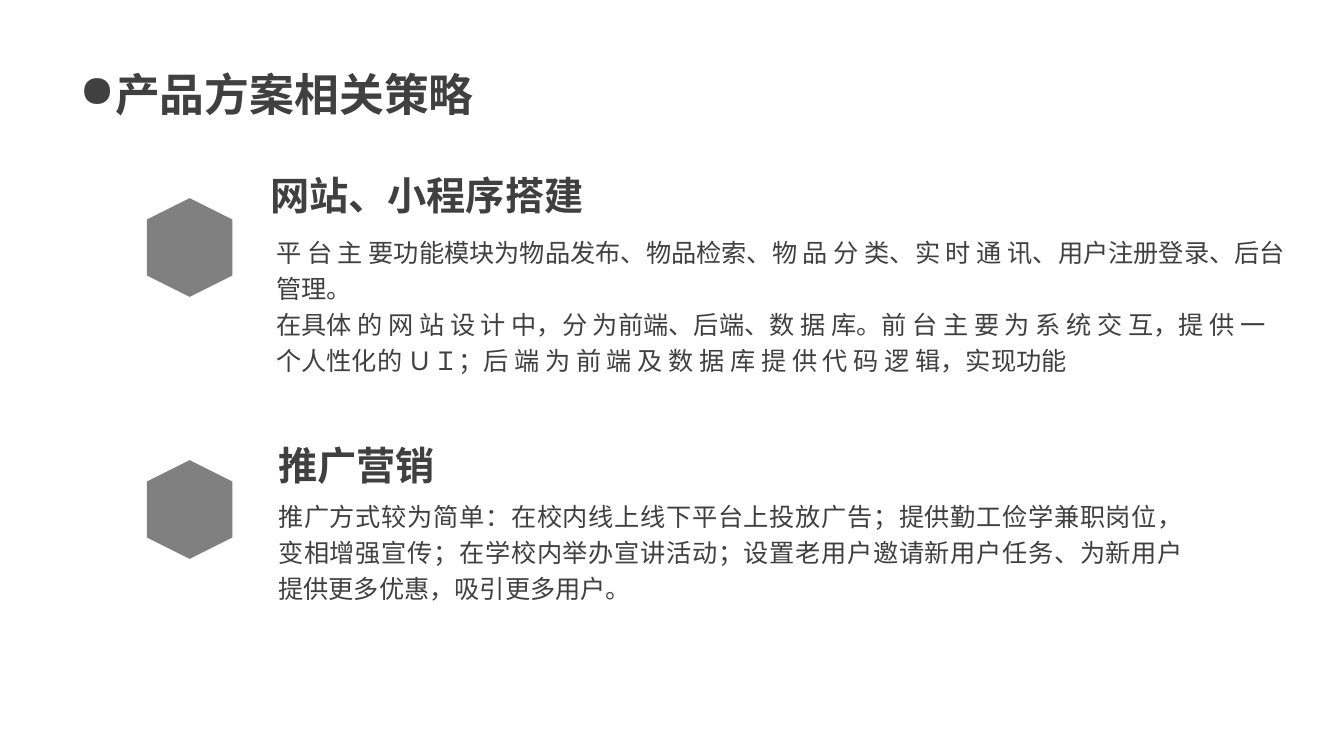
from dataclasses import dataclass
from typing import Optional

from lxml import etree
from pptx import Presentation
from pptx import util as u
from pptx.dml.color import RGBColor
from pptx.enum import shapes, text
from pptx.oxml import ns

SLIDE_W, SLIDE_H = u.Inches(13.33), u.Inches(7.5)
COMPARISON_LAYOUT = 4  # a title and two pairs of heading and body


@dataclass(frozen=True)
class Theme:
    font: str = "Noto Sans CJK SC"
    ink: RGBColor = RGBColor(0x40, 0x40, 0x40)
    marker: RGBColor = RGBColor(0x80, 0x80, 0x80)
    title_size: int = 32
    heading_size: int = 28
    body_size: int = 18
    body_spacing: float = 1.2
    bullet_indent: float = 0.31


@dataclass(frozen=True)
class Area:
    """Left, top, width and height in percent of the slide."""
    left: float
    top: float
    width: float
    height: float

    def box(self) -> tuple[int, int, int, int]:
        return (int(SLIDE_W * self.left / 100), int(SLIDE_H * self.top / 100),
                int(SLIDE_W * self.width / 100), int(SLIDE_H * self.height / 100))


@dataclass(frozen=True)
class TextStyle:
    size: int
    bold: bool = False
    spacing: float = 1.0
    align: text.PP_ALIGN = text.PP_ALIGN.LEFT
    bullet: Optional[str] = None


@dataclass(frozen=True)
class Strategy:
    heading: str
    heading_area: Area
    body: tuple[str, ...]
    body_area: Area
    body_align: text.PP_ALIGN
    marker_top: float


THEME = Theme()
TITLE = TextStyle(THEME.title_size, bold=True, align=text.PP_ALIGN.CENTER, bullet="●")
HEADING = TextStyle(THEME.heading_size, bold=True)

STRATEGIES = (
    Strategy(
        "网站、小程序搭建", Area(20.1, 22.67, 26.18, 4.8),
        ("平 台 主 要功能模块为物品发布、物品检索、物 品 分 类、实 时 通 讯、用户注册登录、后台管理。",
         "在具体 的 网 站 设 计 中，分 为前端、后端、数 据 库。前 台 主 要 为 系 统 交 互，提 供 一 "
         "个人性化的 ＵＩ；后 端 为 前 端 及 数 据 库 提 供 代 码 逻 辑，实现功能"),
        Area(20.55, 30.53, 75.69, 19.07), text.PP_ALIGN.LEFT, 27.07),
    Strategy(
        "推广营销", Area(20.7, 58.4, 22.88, 4.8),
        ("推广方式较为简单：在校内线上线下平台上投放广告；提供勤工俭学兼职岗位，"
         "变相增强宣传；在学校内举办宣讲活动；设置老用户邀请新用户任务、为新用户"
         "提供更多优惠，吸引更多用户。",),
        Area(20.7, 65.47, 67.37, 14.13), text.PP_ALIGN.JUSTIFY, 61.73),
)


def format_paragraph(paragraph, style: TextStyle) -> None:
    paragraph.alignment = style.align
    paragraph.line_spacing = style.spacing
    paragraph.space_before = paragraph.space_after = u.Pt(0)
    font = paragraph.font
    font.size, font.bold, font.name = u.Pt(style.size), style.bold, THEME.font
    font.color.rgb = THEME.ink

    # East Asian font, indent and bullet
    properties = paragraph._p.get_or_add_pPr()
    defaults = properties.find(ns.qn("a:defRPr"))
    etree.SubElement(defaults, ns.qn("a:ea"), typeface=THEME.font)
    indent = u.Inches(THEME.bullet_indent) if style.bullet else 0
    properties.set("marL", str(indent))
    properties.set("indent", str(-indent))
    bullet = etree.Element(ns.qn("a:buChar" if style.bullet else "a:buNone"))
    if style.bullet:
        bullet.set("char", style.bullet)
    defaults.addprevious(bullet)


def fill_placeholder(holder, area: Area, lines: tuple[str, ...], style: TextStyle) -> None:
    holder.left, holder.top, holder.width, holder.height = area.box()
    frame = holder.text_frame
    frame.auto_size = text.MSO_AUTO_SIZE.NONE
    frame.vertical_anchor = text.MSO_ANCHOR.TOP
    frame.word_wrap = True
    frame.margin_left = frame.margin_top = frame.margin_right = frame.margin_bottom = 0
    frame.text = "\n".join(lines)
    for paragraph in frame.paragraphs:
        format_paragraph(paragraph, style)


def add_marker(slide, top: float) -> None:
    marker = slide.shapes.add_shape(shapes.MSO_SHAPE.HEXAGON,
                                    *Area(10.43, top, 7.35, 11.33).box())
    marker.rotation = 90
    marker.shadow.inherit = False
    marker.fill.solid()
    marker.fill.fore_color.rgb = THEME.marker
    marker.line.fill.background()


def main() -> None:
    deck = Presentation()
    deck.slide_width, deck.slide_height = SLIDE_W, SLIDE_H
    slide = deck.slides.add_slide(deck.slide_layouts[COMPARISON_LAYOUT])

    # Title
    title = slide.shapes.title
    fill_placeholder(title, Area(5.1, 8.13, 30.98, 8.53), ("产品方案相关策略",), TITLE)
    title.text_frame.word_wrap = False
    title.text_frame.margin_left = title.text_frame.margin_right = u.Inches(0.1)
    title.text_frame.margin_top = title.text_frame.margin_bottom = u.Inches(0.05)

    # Strategies: marker, heading and body
    for number, strategy in enumerate(STRATEGIES):
        heading, body = (slide.placeholders[2 * number + part] for part in (1, 2))
        add_marker(slide, strategy.marker_top)
        fill_placeholder(heading, strategy.heading_area, (strategy.heading,), HEADING)
        fill_placeholder(body, strategy.body_area, strategy.body,
                         TextStyle(THEME.body_size, spacing=THEME.body_spacing,
                                   align=strategy.body_align))

    deck.save("out.pptx")


if __name__ == "__main__":
    main()
